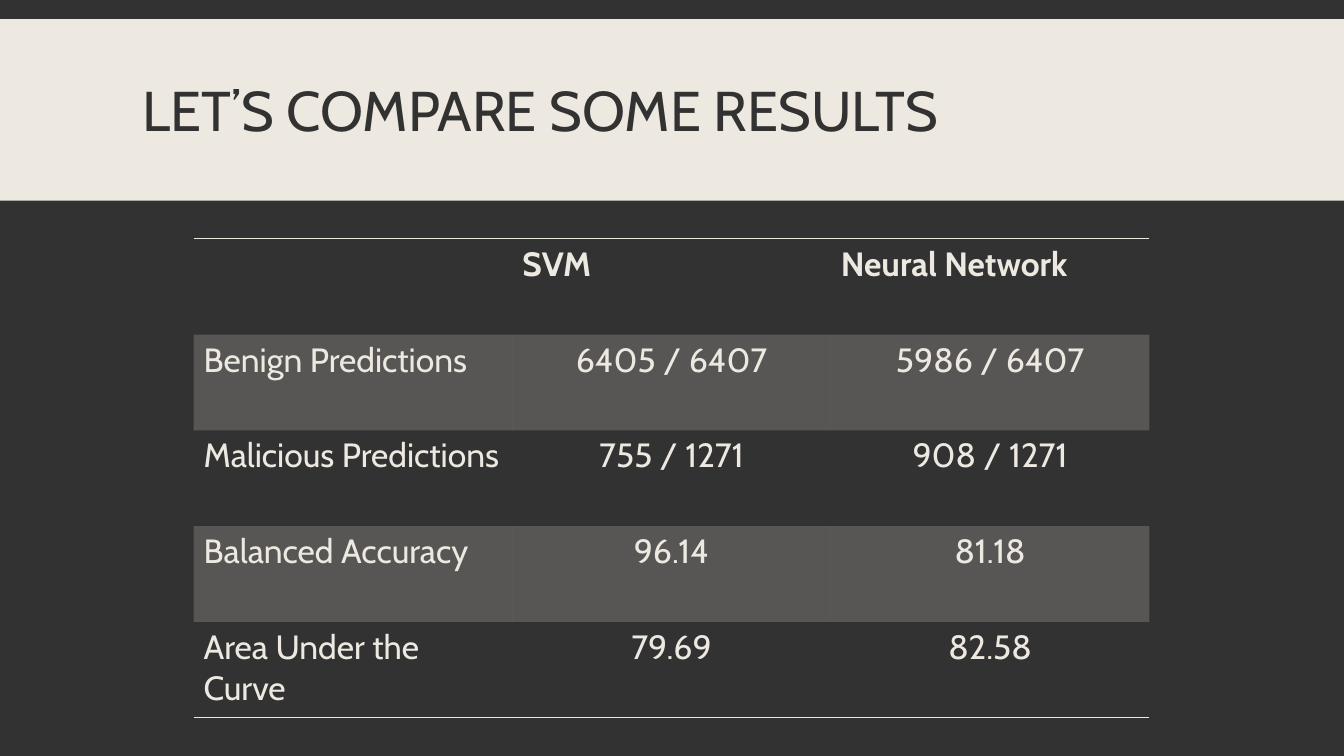
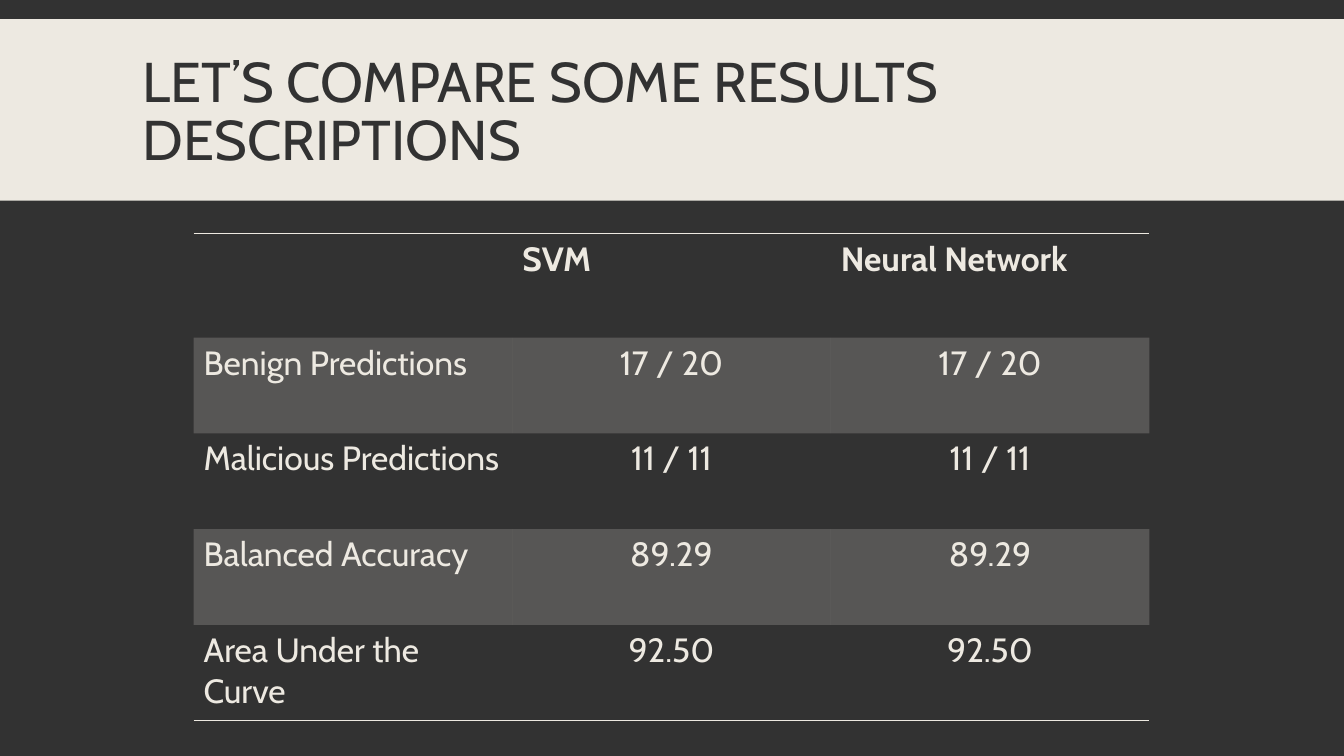
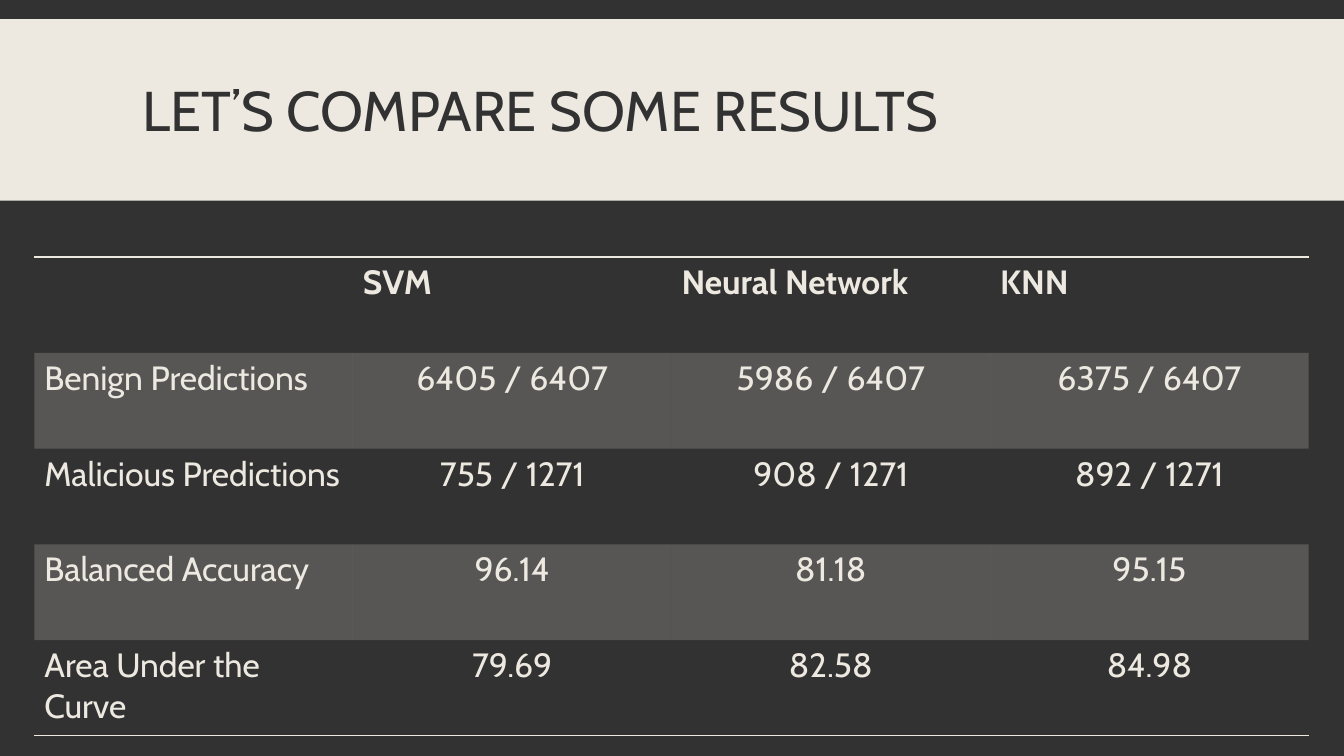
from lxml.etree import SubElement
from pptx import Presentation
from pptx.dml.color import RGBColor
from pptx.enum.shapes import MSO_SHAPE
from pptx.enum.text import MSO_ANCHOR, PP_ALIGN
from pptx.oxml import parse_xml
from pptx.oxml.ns import nsdecls, qn
from pptx.util import Pt

PX = 9144  # one hundredth of an inch
SLIDE_W, SLIDE_H = 1333, 750
DARK, CREAM = "323232", "EDE9E1"
NO_GRID_STYLE = "{2D5ABB26-0587-4C30-8999-92F81FD0307C}"

BAND = (0, 19, SLIDE_W, 180)
TITLE_BOX = (132, 31, 1070, 165)
COL_W, ROW_H = 316, 95
STRIPE_ALPHA = 20
TITLE_FONT = {"name": "Cabin", "size": Pt(40)}
CELL_FONT = {"name": "Cabin", "size": Pt(24)}

HEADING = "LET’S COMPARE SOME RESULTS"
MEASURES = ["Benign Predictions", "Malicious Predictions",
            "Balanced Accuracy", "Area Under the Curve"]
SVM = ["SVM", "6405 / 6407", "755 / 1271", "96.14", "79.69"]
NEURAL = ["Neural Network", "5986 / 6407", "908 / 1271", "81.18", "82.58"]
KNN = ["KNN", "6375 / 6407", "892 / 1271", "95.15", "84.98"]
DESCRIPTION_SCORES = ["17 / 20", "11 / 11", "89.29", "92.50"]

SLIDES = [
    {"title": [HEADING], "top": 237, "header_h": ROW_H, "models": [SVM, NEURAL]},
    {"title": [HEADING, "DESCRIPTIONS"], "top": 232, "header_h": 103,
     "models": [[name] + DESCRIPTION_SCORES for name in ("SVM", "Neural Network")]},
    {"title": [HEADING], "top": 255, "header_h": ROW_H, "models": [SVM, NEURAL, KNN]},
]


def rgb(hex_code):
    return RGBColor.from_string(hex_code)


def emu(*lengths):
    return [n * PX for n in lengths]


def style(font, values, color):
    for key, value in values.items():
        setattr(font, key, value)
    font.color.rgb = rgb(color)


def add_title(s, lines):
    """Draw the light band with the title lines on it."""
    band = s.shapes.add_shape(MSO_SHAPE.RECTANGLE, *emu(*BAND))
    band.shadow.inherit = False
    band.fill.solid()
    band.fill.fore_color.rgb = rgb(CREAM)
    band.line.fill.background()

    tf = s.shapes.add_textbox(*emu(*TITLE_BOX)).text_frame
    tf.word_wrap = True
    tf.vertical_anchor = MSO_ANCHOR.MIDDLE
    tf.text = "\n".join(lines)
    for p in tf.paragraphs:
        p.line_spacing = 0.85
        style(p.runs[0].font, TITLE_FONT, DARK)


def add_rule(cell, side):
    """Give a cell a 1 pt border on the side named 'T' or 'B'."""
    cell._tc.get_or_add_tcPr().insert(0, parse_xml(
        f'<a:ln{side} {nsdecls("a")} w="{Pt(1)}"><a:solidFill>'
        f'<a:srgbClr val="{CREAM}"/></a:solidFill></a:ln{side}>'))


def fill_stripe(cell):
    cell.fill.solid()
    cell.fill.fore_color.rgb = rgb(CREAM)
    color = cell._tc.tcPr.find(".//" + qn("a:srgbClr"))
    SubElement(color, qn("a:alpha"), val=str(STRIPE_ALPHA * 1000))


def add_results(s, models, top, header_h):
    columns = [[""] + MEASURES] + models
    n_rows, n_cols = len(columns[0]), len(columns)
    width = n_cols * COL_W
    height = header_h + ROW_H * (n_rows - 1)
    left = (SLIDE_W - width) // 2
    table = s.shapes.add_table(n_rows, n_cols, *emu(left, top, width, height)).table
    table.first_row = table.horz_banding = False
    table._tbl.tblPr.find(qn("a:tableStyleId")).text = NO_GRID_STYLE

    for col in table.columns:
        col.width = COL_W * PX
    for i, row in enumerate(table.rows):
        row.height = (ROW_H if i else header_h) * PX
        for j, cell in enumerate(row.cells):
            cell.text = columns[j][i]
            p = cell.text_frame.paragraphs[0]
            p.alignment = PP_ALIGN.CENTER if i and j else PP_ALIGN.LEFT
            style(p.font, CELL_FONT, CREAM)
            for r in p.runs:
                style(r.font, {**CELL_FONT, "bold": i == 0}, CREAM)
            if i % 2:
                fill_stripe(cell)
            else:
                cell.fill.background()
            if i == 0:
                add_rule(cell, "T")
            elif i == n_rows - 1:
                add_rule(cell, "B")


def main():
    prs = Presentation()
    prs.slide_width, prs.slide_height = emu(SLIDE_W, SLIDE_H)
    background = prs.slide_master.background.fill
    background.solid()
    background.fore_color.rgb = rgb(DARK)
    for content in SLIDES:
        s = prs.slides.add_slide(prs.slide_layouts[6])
        add_title(s, content["title"])
        add_results(s, content["models"], content["top"], content["header_h"])
    prs.save("out.pptx")


if __name__ == "__main__":
    main()
